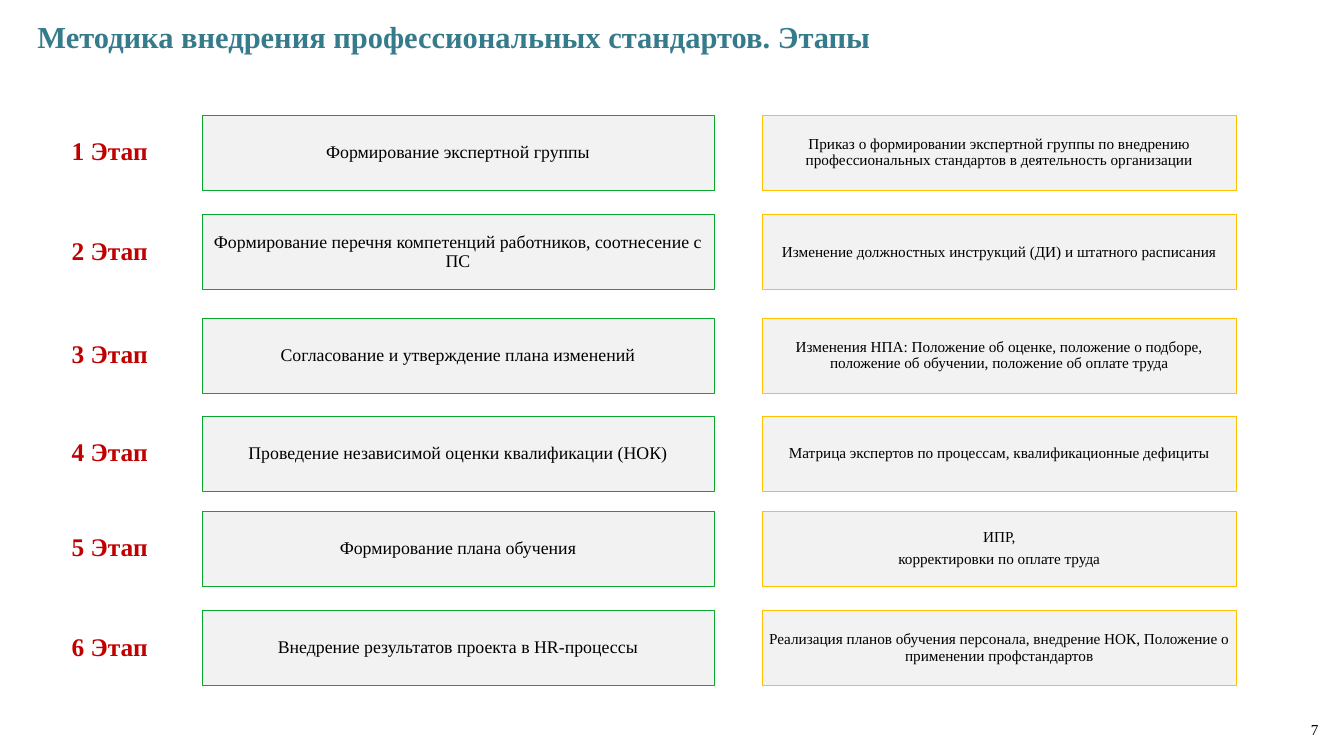
"""Builds a slide with six stages of introducing professional standards."""
from dataclasses import dataclass

from pptx import Presentation
from pptx.dml.color import RGBColor
from pptx.enum.shapes import MSO_SHAPE
from pptx.enum.text import MSO_ANCHOR, PP_ALIGN
from pptx.util import Inches, Pt

RECT, ROUNDED = MSO_SHAPE.RECTANGLE, MSO_SHAPE.ROUNDED_RECTANGLE
MIDDLE = MSO_ANCHOR.MIDDLE
LEFT, CENTER, RIGHT = PP_ALIGN.LEFT, PP_ALIGN.CENTER, PP_ALIGN.RIGHT


@dataclass(frozen=True)
class Theme:
    font: str = "Times New Roman"
    title: str = "357B8B"
    stage: str = "C00000"
    text: str = "000000"
    fill: str = "F2F2F2"
    action_line: str = "08A82E"
    result_line: str = "FFC000"
    title_size: int = 24
    stage_size: int = 20
    action_size: int = 14
    small_size: int = 12


T = Theme()
ROW_H = 0.82
STAGES = [
    (1.26, "Формирование экспертной группы",
     "Приказ о формировании экспертной группы по внедрению "
     "профессиональных стандартов в деятельность организации"),
    (2.35, "Формирование перечня компетенций работников, соотнесение с ПС",
     "Изменение должностных инструкций (ДИ) и штатного расписания"),
    (3.48, "Согласование и утверждение плана изменений",
     "Изменения НПА: Положение об оценке, положение о подборе, "
     "положение об обучении, положение об оплате труда"),
    (4.55, "Проведение независимой оценки квалификации (НОК)",
     "Матрица экспертов по процессам, квалификационные дефициты"),
    (5.59, "Формирование плана обучения",
     "ИПР,\nкорректировки по оплате труда"),
    (6.68, "Внедрение результатов проекта в HR-процессы",
     "Реализация планов обучения персонала, внедрение НОК, "
     "Положение о применении профстандартов"),
]


def write(sp, text, size, color, align, bold=False, inset=(0.05, 0.04)):
    tf = sp.text_frame
    tf.text = text
    tf.word_wrap = True
    tf.vertical_anchor = MIDDLE
    tf.margin_left = tf.margin_right = Inches(inset[0])
    tf.margin_top = tf.margin_bottom = Inches(inset[1])
    for p in tf.paragraphs:
        p.alignment = align
        for r in p.runs:
            r.font.name = T.font
            r.font.size = Pt(size)
            r.font.bold = bold
            r.font.color.rgb = RGBColor.from_string(color)


def add_box(s, kind, x, y, w, text, size, color, line=None):
    sp = s.shapes.add_shape(kind, Inches(x), Inches(y), Inches(w), Inches(ROW_H))
    sp.shadow.inherit = False
    if line:
        sp.fill.solid()
        sp.fill.fore_color.rgb = RGBColor.from_string(T.fill)
        sp.line.color.rgb = RGBColor.from_string(line)
        sp.line.width = Pt(0.5)
    else:
        sp.fill.background()
        sp.line.fill.background()
    write(sp, text, size, color, CENTER, bold=line is None)
    for p in sp.text_frame.paragraphs:
        p.line_spacing = 0.9
        p.space_after = Pt(0.35 * size)


prs = Presentation()
prs.slide_width, prs.slide_height = Inches(14.7), Inches(8.27)
s = prs.slides.add_slide(prs.slide_layouts[5])

title = s.shapes.title
title.left, title.top = Inches(0.41), Inches(0.19)
title.width, title.height = Inches(12.3), Inches(0.42)
write(title, "Методика внедрения профессиональных стандартов. Этапы",
      T.title_size, T.title, LEFT, bold=True, inset=(0, 0))

for number, (y, action, result) in enumerate(STAGES, 1):
    add_box(s, ROUNDED, 0.61, y, 1.18, f"{number} Этап", T.stage_size, T.stage)
    add_box(s, RECT, 2.21, y, 5.6, action, T.action_size, T.text, T.action_line)
    add_box(s, RECT, 8.34, y, 5.18, result, T.small_size, T.text, T.result_line)

page = s.shapes.add_textbox(Inches(14.02), Inches(7.7), Inches(0.5), Inches(0.55))
write(page, "7", T.small_size, T.text, RIGHT, inset=(0.1, 0.05))

prs.save("out.pptx")
